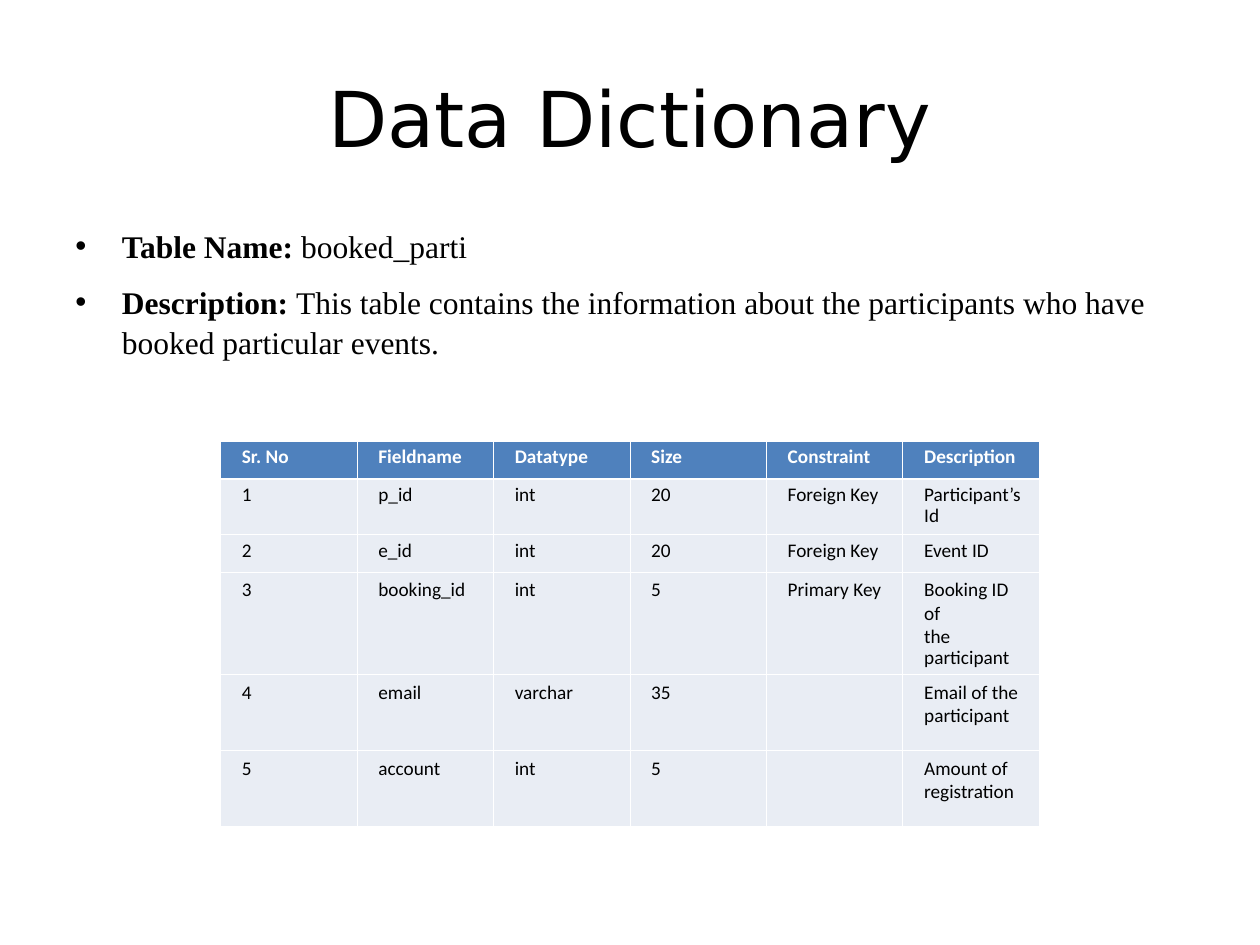
from lxml.etree import SubElement
from pptx import Presentation
from pptx.dml.color import RGBColor
from pptx.enum.text import MSO_ANCHOR, PP_ALIGN
from pptx.oxml.ns import qn
from pptx.util import Pt

TITLE = "Data Dictionary"
# label, text, space before, line spacing
BULLETS = [
    ("Table Name: ", "booked_parti", 10.9, 1.0),
    ("Description: ", "This table contains the information about the participants "
     "who have booked particular events.", 9.1, 1.06),
]
FIELDS = [
    ["Sr. No", "Fieldname", "Datatype", "Size", "Constraint", "Description"],
    ["1", "p_id", "int", "20", "Foreign Key", "Participant’s Id"],
    ["2", "e_id", "int", "20", "Foreign Key", "Event ID"],
    ["3", "booking_id", "int", "5", "Primary Key", "Booking ID of\nthe participant"],
    ["4", "email", "varchar", "35", "", "Email of the\nparticipant"],
    ["5", "account", "int", "5", "", "Amount of\nregistration"],
]
ROW_HEIGHTS = [21.6] * 3 + [43.2] * 3
# Line spacing of the first and second paragraph in each row's cells
LINE_SPACINGS = [(12.4,), (12.2,), (12.5,), (None, 12.2), (None, 12.2), (None, 12.5)]
TABLE_LEFT, TABLE_TOP, TABLE_WIDTH = 126, 252, 468
BLACK, WHITE, HEADER_FILL, BODY_FILL = "000000", "FFFFFF", "4F81BD", "E9EDF4"
THIN, THICK = 0.45, 1.47


def style(run, font, size, color=BLACK, bold=False):
    run.font.name = font
    run.font.size = Pt(size)
    run.font.bold = bold
    run.font.color.rgb = RGBColor.from_string(color)


def set_indent(paragraph, left, first=0):
    properties = paragraph._p.get_or_add_pPr()
    properties.set("marL", str(Pt(left)))
    properties.set("indent", str(Pt(first)))
    return properties


def add_bullet(paragraph):
    properties = set_indent(paragraph, 26.64, -26.64)
    color = SubElement(properties, qn("a:buClr"))
    SubElement(color, qn("a:srgbClr"), val=BLACK)
    SubElement(properties, qn("a:buFont"), typeface="Arial")
    SubElement(properties, qn("a:buChar"), char="•")


def set_borders(cell, top, bottom):
    properties = cell._tc.get_or_add_tcPr()
    widths = {"lnL": THIN, "lnR": THIN, "lnT": top, "lnB": bottom}
    for position, (side, width) in enumerate(widths.items()):
        line = SubElement(properties, qn(f"a:{side}"), w=str(Pt(width)))
        fill = SubElement(line, qn("a:solidFill"))
        SubElement(fill, qn("a:srgbClr"), val=WHITE)
        properties.insert(position, line)


def fill_cell(cell, text, row):
    header = row == 0
    cell.fill.solid()
    cell.fill.fore_color.rgb = RGBColor.from_string(HEADER_FILL if header else BODY_FILL)
    set_borders(cell, THICK if row == 1 else THIN, THICK if header else THIN)
    cell.text_frame.text = text
    for paragraph, spacing in zip(cell.text_frame.paragraphs, LINE_SPACINGS[row]):
        set_indent(paragraph, 5)
        if spacing:
            paragraph.line_spacing = Pt(spacing)
        for run in paragraph.runs:
            style(run, "Calibri", 11, WHITE if header else BLACK, header)
    for paragraph in cell.text_frame.paragraphs[1:]:
        paragraph.space_before = Pt(0.7)


presentation = Presentation()
presentation.slide_width, presentation.slide_height = Pt(720), Pt(540)
slide = presentation.slides.add_slide(presentation.slide_layouts[5])

title = slide.shapes.title
title.left, title.top, title.width, title.height = Pt(36), Pt(21.6), Pt(648), Pt(90)
title.text_frame.text = TITLE
title.text_frame.vertical_anchor = MSO_ANCHOR.MIDDLE
heading = title.text_frame.paragraphs[0]
heading.alignment = PP_ALIGN.CENTER
style(heading.runs[0], "DejaVu Sans", 44)

summary = slide.shapes.add_textbox(Pt(36), Pt(126), Pt(648), Pt(356.4)).text_frame
summary.word_wrap = True
for index, (label, text, before, spacing) in enumerate(BULLETS):
    paragraph = summary.add_paragraph() if index else summary.paragraphs[0]
    paragraph.space_before = Pt(before)
    paragraph.line_spacing = spacing
    add_bullet(paragraph)
    for words, bold in ((label, True), (text, False)):
        run = paragraph.add_run()
        run.text = words
        style(run, "Times New Roman", 18, bold=bold)

columns = len(FIELDS[0])
dictionary = slide.shapes.add_table(
    len(FIELDS), columns, Pt(TABLE_LEFT), Pt(TABLE_TOP), Pt(TABLE_WIDTH), Pt(sum(ROW_HEIGHTS))
).table
for column in dictionary.columns:
    column.width = Pt(TABLE_WIDTH / columns)
for row, (values, height) in enumerate(zip(FIELDS, ROW_HEIGHTS)):
    dictionary.rows[row].height = Pt(height)
    for column, value in enumerate(values):
        fill_cell(dictionary.cell(row, column), value, row)

presentation.save("out.pptx")
